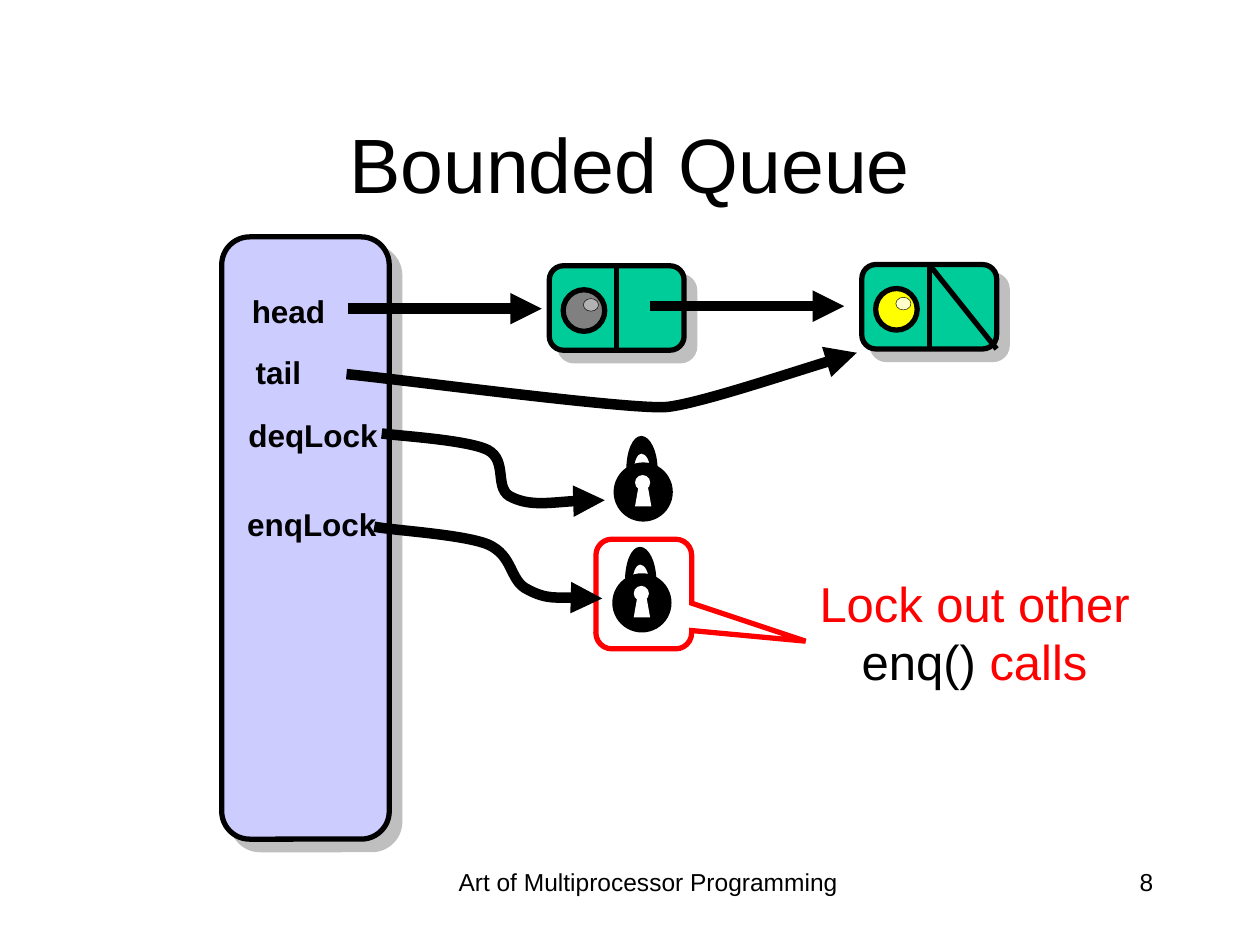
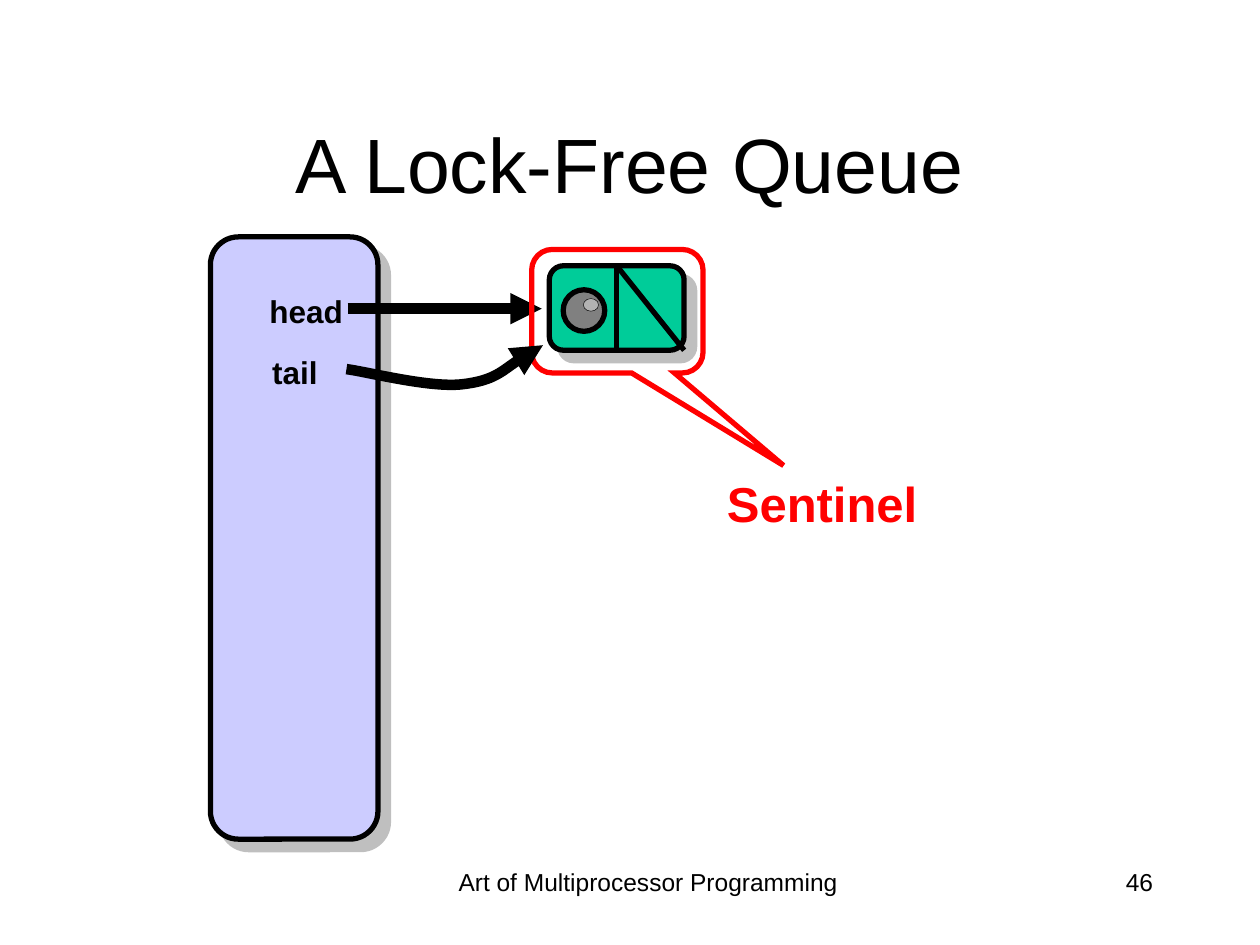
"""Build two slides that compare a bounded queue with a lock-free queue."""
import dataclasses

import lxml.etree
import pptx
import pptx.dml.color
import pptx.enum.shapes
import pptx.enum.text
import pptx.oxml.ns
import pptx.util

Inches = pptx.util.Inches
SHAPE = pptx.enum.shapes.MSO_SHAPE
STRAIGHT = pptx.enum.shapes.MSO_CONNECTOR.STRAIGHT
ALIGN = pptx.enum.text.PP_ALIGN
qn = pptx.oxml.ns.qn


@dataclasses.dataclass(frozen=True)
class Theme:
    """Colours, type sizes and line widths shared by the slides."""
    font: str = "Arial"
    ink: str = "000000"
    paper: str = "FFFFFF"
    accent: str = "FF0000"
    queue: str = "CCCCFF"
    node: str = "00CC99"
    shadow: str = "808080"
    gray_ball: tuple = ("808080", "B2B2B2")
    yellow_ball: tuple = ("FFFF00", "FFFFCC")
    title_size: int = 44
    callout_size: int = 28
    label_size: int = 18
    footer_size: int = 14
    hairline: float = 0.25
    outline: float = 3
    arrow: float = 6


THEME = Theme()


def rgb(color):
    """Return the colour object for a hex string."""
    return pptx.dml.color.RGBColor.from_string(color)


def set_line(s, width, color=THEME.ink):
    """Give a shape or connector a solid line with sharp corners."""
    s.line.color.rgb = rgb(color)
    s.line.width = pptx.util.Pt(width)
    ln = s.element.spPr.find(qn("a:ln"))
    lxml.etree.SubElement(ln, qn("a:miter"), lim="800000")


def style(s, fill=None, width=None, color=THEME.ink):
    """Set fill and line, and remove the theme shadow."""
    s.shadow.inherit = False
    if fill:
        s.fill.solid()
        s.fill.fore_color.rgb = rgb(fill)
    else:
        s.fill.background()
    if width:
        set_line(s, width, color)
    else:
        s.line.fill.background()


def add_arrowhead(s):
    """Put a triangle at the end of a line."""
    ln = s.element.spPr.find(qn("a:ln"))
    lxml.etree.SubElement(ln, qn("a:tailEnd"), type="triangle")


def add_drop_shadow(s):
    """Cast a hard half-transparent shadow to the lower right."""
    effects = s.element.spPr.find(qn("a:effectLst"))
    shadow = lxml.etree.SubElement(
        effects, qn("a:outerShdw"), dist=str(pptx.util.Pt(8.5)),
        dir="2700000", algn="ctr", rotWithShape="0")
    color = lxml.etree.SubElement(shadow, qn("a:srgbClr"), val=THEME.shadow)
    lxml.etree.SubElement(color, qn("a:alpha"), val="50000")


def add_preset(shapes, kind, at, fill=None, width=None, color=THEME.ink):
    """Add a styled preset shape."""
    s = shapes.add_shape(kind, *map(Inches, at))
    style(s, fill, width, color)
    return s


def add_line(shapes, start, end, width=THEME.outline):
    """Add a straight connector without a shadow."""
    s = shapes.add_connector(STRAIGHT, *map(Inches, start + end))
    set_line(s, width)
    lxml.etree.SubElement(s.element.spPr, qn("a:effectLst"))
    return s


def add_arrow(shapes, start, end):
    """Add a thick straight arrow."""
    add_arrowhead(add_line(shapes, start, end, THEME.arrow))


def add_freeform(shapes, start, segments, close=False, origin=(0, 0)):
    """Add a freeform of lines (one point) and cubic curves (three points)."""
    left, top = origin
    points = [start] + [point for segment in segments for point in segment]
    emu = [(Inches(left + x), Inches(top + y)) for x, y in points]
    builder = shapes.build_freeform(*emu[0])
    builder.add_line_segments(emu[1:], close=close)
    s = builder.convert_to_shape()
    lines = s.element.spPr.iter(qn("a:lnTo"))
    steps = iter(list(lines))
    for segment in segments:
        parts = [next(steps) for _ in segment]
        if len(parts) == 3:
            curve = lxml.etree.Element(qn("a:cubicBezTo"))
            parts[0].addprevious(curve)
            for part in parts:
                curve.append(part[0])
                part.getparent().remove(part)
    return s


def add_curved_arrow(shapes, start, *curves):
    """Add a thick curved arrow."""
    s = add_freeform(shapes, start, curves)
    style(s, width=THEME.arrow)
    add_arrowhead(s)


def add_run(p, text, size, color=THEME.ink, bold=False):
    """Append one formatted run to a paragraph."""
    r = p.add_run()
    r.text = text
    r.font.name = THEME.font
    r.font.size = pptx.util.Pt(size)
    r.font.bold = bold
    r.font.color.rgb = rgb(color)


def add_text(shapes, at, runs, size, align=ALIGN.CENTER, bold=False, wrap=True):
    """Add a text box from (text, colour) runs."""
    tf = shapes.add_textbox(*map(Inches, at)).text_frame
    tf.word_wrap = wrap
    if not wrap:
        tf.auto_size = pptx.enum.text.MSO_AUTO_SIZE.SHAPE_TO_FIT_TEXT
    p = tf.paragraphs[0]
    p.alignment = align
    for text, color in runs:
        add_run(p, text, size, color, bold)


def add_label(shapes, left, top, width, text):
    """Add a bold field name."""
    add_text(shapes, (left, top, width, 0.4), [(text, THEME.ink)],
             THEME.label_size, bold=True, wrap=False)


def add_queue(shapes, left):
    """Add the tall panel that stands for the queue object."""
    s = add_preset(shapes, SHAPE.ROUNDED_RECTANGLE, (left, 1.88, 1.33, 4.78),
                   THEME.queue, THEME.outline)
    add_drop_shadow(s)


def add_node(shapes, left, top, ball, last=False):
    """Add a list node; the last one has a null stroke."""
    width, height = 1.07, 0.67
    group = shapes.add_group_shape().shapes
    box = add_preset(group, SHAPE.ROUNDED_RECTANGLE, (left, top, width, height),
                     THEME.node, THEME.outline)
    add_drop_shadow(box)
    middle = (left + width / 2, top)
    divider = add_line(group, middle, (middle[0], top + height))
    divider.begin_connect(box, 0)
    divider.end_connect(box, 2)
    if last:
        stroke = add_line(group, middle, (left + width, top + height))
        stroke.begin_connect(box, 0)
    fill, shine = ball
    add_preset(group, SHAPE.OVAL, (left + 0.11, top + 0.19, 0.33, 0.33),
               fill, THEME.outline)
    add_preset(group, SHAPE.OVAL, (left + 0.27, top + 0.26, 0.12, 0.1),
               shine, THEME.hairline)


def add_lock(shapes, left, top):
    """Add a padlock whose round body starts at left, top."""
    group = shapes.add_group_shape().shapes
    shackle = [((0.16, -0.01), (0.19, -0.07), (0.22, -0.07)),
               ((0.26, -0.07), (0.29, -0.01), (0.29, 0.07)),
               ((0.35, 0.07),),
               ((0.35, -0.09), (0.29, -0.21), (0.22, -0.21)),
               ((0.15, -0.21), (0.1, -0.09), (0.1, 0.07))]
    slot = [((0.2, 0.18),), ((0.27, 0.18),), ((0.3, 0.35),)]
    style(add_freeform(group, (0.16, 0.07), shackle, True, (left, top)),
          THEME.ink)
    add_preset(group, SHAPE.OVAL, (left, top, 0.47, 0.47), THEME.ink)
    style(add_freeform(group, (0.17, 0.35), slot, True, (left, top)),
          THEME.paper)
    add_preset(group, SHAPE.OVAL, (left + 0.17, top + 0.1, 0.12, 0.12),
               THEME.paper)


def add_callout(shapes, at, tip):
    """Add a red callout frame with its tip relative to its centre."""
    s = add_preset(shapes, SHAPE.ROUNDED_RECTANGULAR_CALLOUT, at,
                   width=THEME.outline, color=THEME.accent)
    s.adjustments[0], s.adjustments[1] = tip


def add_slide(prs, title, number):
    """Add a slide with its title, footer and page number."""
    slide = prs.slides.add_slide(prs.slide_layouts[5])
    s = slide.shapes.title
    s.left, s.top, s.width, s.height = map(Inches, (0.75, 0.67, 8.5, 1.25))
    tf = s.text_frame
    tf.vertical_anchor = pptx.enum.text.MSO_ANCHOR.MIDDLE
    p = tf.paragraphs[0]
    p.alignment = ALIGN.CENTER
    add_run(p, title, THEME.title_size)
    add_text(slide.shapes, (3.42, 6.83, 3.45, 0.5),
             [("Art of Multiprocessor Programming", THEME.ink)],
             THEME.footer_size)
    add_text(slide.shapes, (7.17, 6.83, 2.08, 0.5), [(number, THEME.ink)],
             THEME.footer_size, ALIGN.RIGHT)
    return slide.shapes


def build_bounded_queue(prs):
    """Show the queue with its enqueue and dequeue locks."""
    shapes = add_slide(prs, "Bounded Queue", "8")
    add_queue(shapes, 1.76)
    add_arrow(shapes, (2.76, 2.45), (4.3, 2.45))
    add_node(shapes, 4.36, 2.11, THEME.gray_ball)
    add_node(shapes, 6.84, 2.1, THEME.yellow_ball, last=True)
    add_arrow(shapes, (5.16, 2.43), (6.7, 2.43))
    add_label(shapes, 1.89, 2.27, 0.8, "head")
    add_label(shapes, 1.92, 2.75, 0.58, "tail")
    add_label(shapes, 1.86, 3.25, 1.25, "deqLock")
    add_label(shapes, 1.85, 3.96, 1.25, "enqLock")
    add_curved_arrow(shapes, (2.75, 2.97),
                     ((3.17, 3.01), (5.04, 3.26), (5.3, 3.23)),
                     ((5.55, 3.2), (6.49, 2.89), (6.8, 2.8)))
    add_lock(shapes, 4.87, 3.67)
    add_callout(shapes, (4.73, 4.28, 0.76, 0.87), (1.69, 0.43))
    add_lock(shapes, 4.86, 4.55)
    add_text(shapes, (6.02, 4.5, 3.43, 1.04),
             [("Lock out other ", THEME.accent), ("enq()", THEME.ink),
              (" calls", THEME.accent)], THEME.callout_size)
    add_curved_arrow(shapes, (3.03, 3.44),
                     ((3.17, 3.46), (3.7, 3.49), (3.87, 3.57)),
                     ((4.04, 3.66), (3.91, 3.89), (4.07, 3.95)),
                     ((4.22, 4.02), (4.65, 3.96), (4.8, 3.97)))
    add_curved_arrow(shapes, (2.97, 4.18),
                     ((3.12, 4.21), (3.67, 4.24), (3.87, 4.32)),
                     ((4.08, 4.41), (4.04, 4.61), (4.19, 4.68)),
                     ((4.34, 4.76), (4.65, 4.74), (4.78, 4.75)))


def build_lock_free_queue(prs):
    """Show the empty queue with its sentinel node."""
    shapes = add_slide(prs, "A Lock-Free Queue", "46")
    add_queue(shapes, 1.67)
    add_arrow(shapes, (2.76, 2.45), (4.3, 2.45))
    add_node(shapes, 4.36, 2.11, THEME.gray_ball, last=True)
    add_callout(shapes, (4.22, 1.98, 1.36, 0.98), (0.97, 1.25))
    add_text(shapes, (5.67, 3.71, 1.71, 0.57), [("Sentinel", THEME.accent)],
             THEME.callout_size, bold=True, wrap=False)
    add_label(shapes, 2.03, 2.27, 0.8, "head")
    add_label(shapes, 2.05, 2.75, 0.58, "tail")
    add_curved_arrow(shapes, (2.75, 2.93),
                     ((2.91, 2.95), (3.41, 3.08), (3.67, 3.05)),
                     ((3.93, 3.02), (4.18, 2.8), (4.31, 2.74)))


def main():
    """Build and save the presentation."""
    prs = pptx.Presentation()
    prs.slide_width, prs.slide_height = Inches(10), Inches(7.5)
    build_bounded_queue(prs)
    build_lock_free_queue(prs)
    prs.save("out.pptx")


if __name__ == "__main__":
    main()
